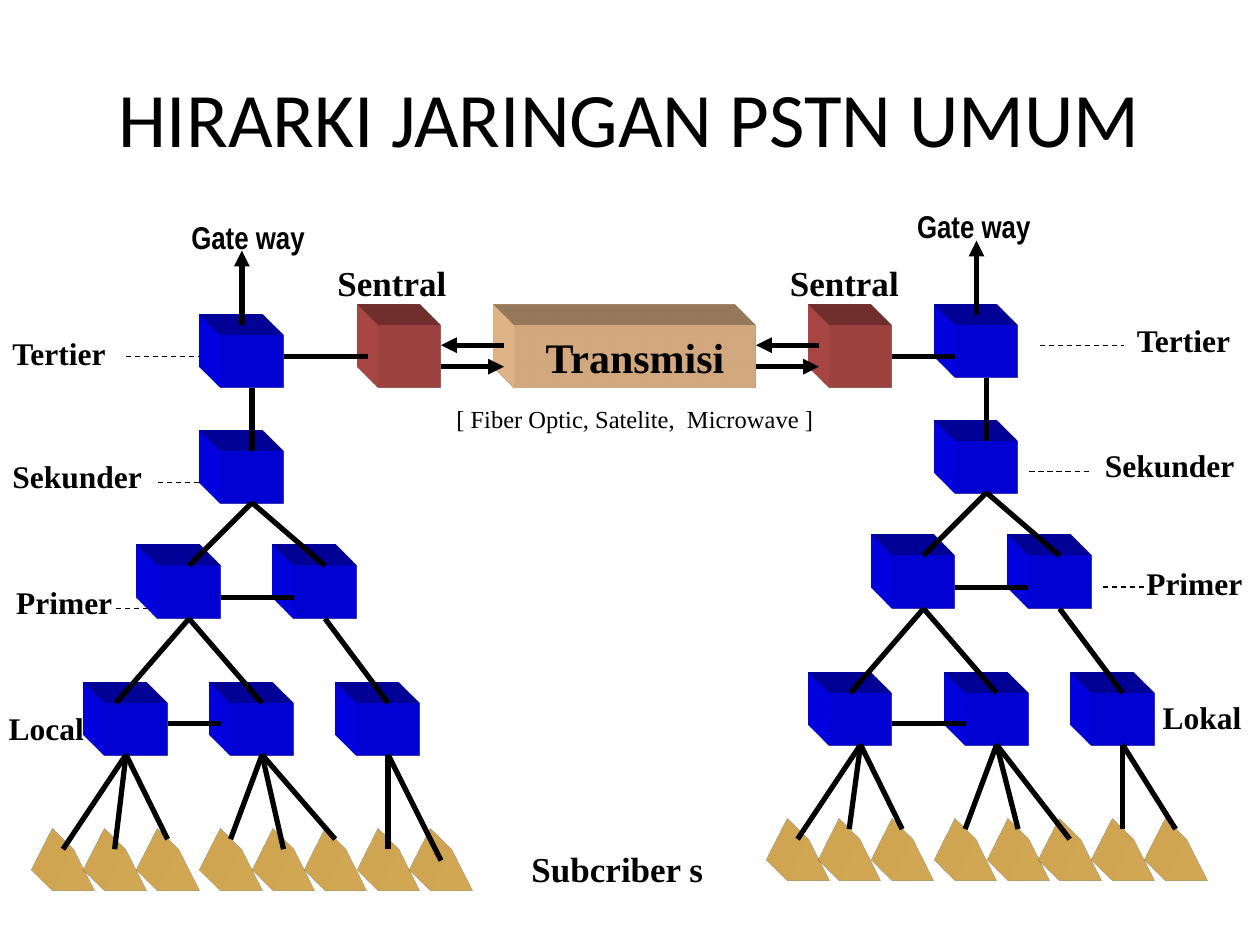
from lxml import etree
from pptx import Presentation
from pptx import util as u
from pptx.dml.color import RGBColor
from pptx.enum import dml, shapes, text
from pptx.oxml import ns, parse_xml

COLORS = {"ink": "000000", "switch": "0000FF", "exchange": "C0504D",
          "subscriber": "FFCC66", "transmission": "FFCC99"}
SERIF = "Times New Roman"
ALIGN = {"l": text.PP_ALIGN.LEFT, "c": text.PP_ALIGN.CENTER, "r": text.PP_ALIGN.RIGHT}
BLOCK, PEAK = shapes.MSO_SHAPE.RECTANGLE, shapes.MSO_SHAPE.ISOSCELES_TRIANGLE
DEPTH = 430200


class Diagram:
    def __init__(self, slide):
        self.slide = slide

    def color(self, name):
        return RGBColor.from_string(COLORS[name])

    def caption(self, shape, words, size, font=SERIF, bold=True, align="l"):
        paragraph = shape.text_frame.paragraphs[0]
        paragraph.alignment = ALIGN[align]
        run = paragraph.add_run()
        run.text = words
        style = {"size": u.Pt(size), "name": font, "bold": bold}
        for name, value in style.items():
            setattr(run.font, name, value)
        run.font.color.rgb = self.color("ink")

    def label(self, words, box, size=18, wrap=False, grow=True, **style):
        shape = self.slide.shapes.add_textbox(*map(u.Inches, box))
        layout = {"word_wrap": wrap, "vertical_anchor": text.MSO_ANCHOR.TOP if grow
                  else text.MSO_ANCHOR.MIDDLE,
                  "auto_size": text.MSO_AUTO_SIZE.SHAPE_TO_FIT_TEXT if grow
                  else text.MSO_AUTO_SIZE.NONE}
        for name, value in layout.items():
            setattr(shape.text_frame, name, value)
        self.caption(shape, words, size, **style)

    def solid(self, kind, fill, *box):
        """A preset shape extruded towards the top left."""
        shape = self.slide.shapes.add_shape(kind, *map(u.Inches, box))
        shape.shadow.inherit = False
        shape.fill.solid()
        shape.fill.fore_color.rgb = self.color(fill)
        shape.line.fill.background()
        properties = shape._element.spPr
        for part in (
            '<a:scene3d {0}><a:camera prst="legacyObliqueTopLeft"/>'
            '<a:lightRig rig="legacyFlat3" dir="b"/></a:scene3d>',
            '<a:sp3d {0} extrusionH="{1}" prstMaterial="legacyMatte">'
            '<a:extrusionClr><a:srgbClr val="{2}"/></a:extrusionClr></a:sp3d>',
        ):
            properties.append(parse_xml(part.format(ns.nsdecls("a"), DEPTH, COLORS[fill])))
        return shape

    def link(self, x1, y1, x2, y2, width=3, dashed=False, arrow=False):
        line = self.slide.shapes.add_connector(
            shapes.MSO_CONNECTOR.STRAIGHT, *map(u.Inches, (x1, y1, x2, y2)))
        line.line.color.rgb = self.color("ink")
        line.line.width = u.Pt(width)
        if dashed:
            line.line.dash_style = dml.MSO_LINE.DASH
        if arrow:
            etree.SubElement(line._element.spPr.find(ns.qn("a:ln")),
                             ns.qn("a:tailEnd"), type="triangle")
        etree.SubElement(line._element.spPr, ns.qn("a:effectLst"))

    def network(self, dx, dy, first_local, local_link, subscriber_ends):
        """One exchange tree, placed by its offset from the left-hand one."""
        def link(x1, y1, x2, y2, **style):
            self.link(x1 + dx, y1 + dy, x2 + dx, y2 + dy, **style)

        # Switches, level by level
        levels = {2.66: [1.75], 3.58: [1.75], 4.49: [1.25, 2.33],
                  5.58: [first_local, 1.83, 2.83]}
        for y, row in levels.items():
            for x in row:
                self.solid(BLOCK, "switch", x + dx, y + dy, 0.5, 0.42)

        # Links between levels
        link(2, 3.08, 2, 3.58)
        for x in (1.5, 2.58):
            link(2, 3.99, x, 4.49)
        for top, bottom in ((1.5, 0.92), (1.5, 2.08), (2.58, 3.08)):
            link(top, 4.91, bottom, 5.58)
        link(1.75, 4.74, 2.33, 4.74)
        start, end = local_link
        self.link(start, 5.74, end, 5.74)

        # Subscribers and their lines
        homes = [0.42, 0.83, 1.25, 1.75, 2.17, 2.58, 3, 3.42]
        for x in homes:
            self.solid(PEAK, "subscriber", x + dx, 6.74 + dy, 0.33, 0.33)
        parents = [1] * 3 + [2.08] * 3 + [3.08] * 2
        for parent, home, end in zip(parents, homes, subscriber_ends):
            self.link(parent + dx, 5.99 + dy, home + 0.08 + dx, end)

        # Gateway arrow
        link(1.92, 2.58, 1.92, 1.99, arrow=True)


deck = Presentation()
deck.slide_width, deck.slide_height = u.Inches(10), u.Inches(7.5)
pstn = Diagram(deck.slides.add_slide(deck.slide_layouts[6]))

# Title
pstn.label("HIRARKI JARINGAN PSTN UMUM", (0.5, 0.3, 9, 1.25), 44, wrap=True,
           grow=False, font="Calibri", bold=False, align="c")

# Exchanges and the two trees
for x in (3, 6.58):
    pstn.solid(BLOCK, "exchange", x, 2.58, 0.5, 0.5)
pstn.network(0, 0, 0.83, (1.33, 1.75),
             (6.74, 6.74, 6.66, 6.66, 6.74, 6.66, 6.74, 6.83))
pstn.network(5.83, -0.08, 0.75, (7.08, 7.67),
             (6.66, 6.58, 6.58, 6.58, 6.58, 6.66, 6.58, 6.58))
for start, end in ((2.25, 2.92), (7.08, 7.58)):
    pstn.link(start, 2.83, end, 2.83)

# Level names
for words, box in (
    ("Tertier", (0, 2.6, 0.97, 0.4)), ("Sekunder", (0, 3.58, 1.23, 0.4)),
    ("Primer", (0.03, 4.58, 0.97, 0.4)), ("Local", (-0.03, 5.58, 0.8, 0.4)),
    ("Sekunder", (8.67, 3.49, 1.23, 0.4)), ("Primer", (9, 4.43, 0.97, 0.4)),
    ("Lokal", (9.13, 5.49, 0.83, 0.4)),
):
    pstn.label(words, box)
pstn.label("Tertier ", (8.89, 2.5, 1.03, 0.4), align="r")
for start, end, y in ((1, 1.58, 2.83), (1.25, 1.58, 3.83), (0.92, 1.17, 4.83),
                      (8.25, 8.92, 2.74), (8.17, 8.67, 3.74), (8.75, 9.08, 4.66)):
    pstn.link(start, y, end, y, width=0.75, dashed=True)

# Other names
for x in (2.58, 6.17):
    pstn.label("Sentral", (x, 2.03, 1.07, 0.44), 20)
for x, y in ((1.42, 1.68), (7.18, 1.59)):
    pstn.label("Gate way", (x, y, 1.1, 0.4), font="Arial Narrow")
pstn.label("Subcriber s", (4.12, 6.68, 1.57, 0.43), 20)
pstn.label("[ Fiber Optic, Satelite,  Microwave ]", (3.5, 3.16, 3.08, 0.33), 14,
           wrap=True, bold=False, align="c")

# Transmission block and its two-way links
transmission = pstn.solid(BLOCK, "transmission", 4.08, 2.58, 1.92, 0.5)
transmission.text_frame.word_wrap = False
transmission.text_frame.vertical_anchor = text.MSO_ANCHOR.MIDDLE
pstn.caption(transmission, "Transmisi", 24, align="c")
for x in (3.5, 6):
    pstn.link(x, 2.91, x + 0.5, 2.91, arrow=True)
    pstn.link(x + 0.5, 2.74, x, 2.74, arrow=True)

deck.save("out.pptx")
